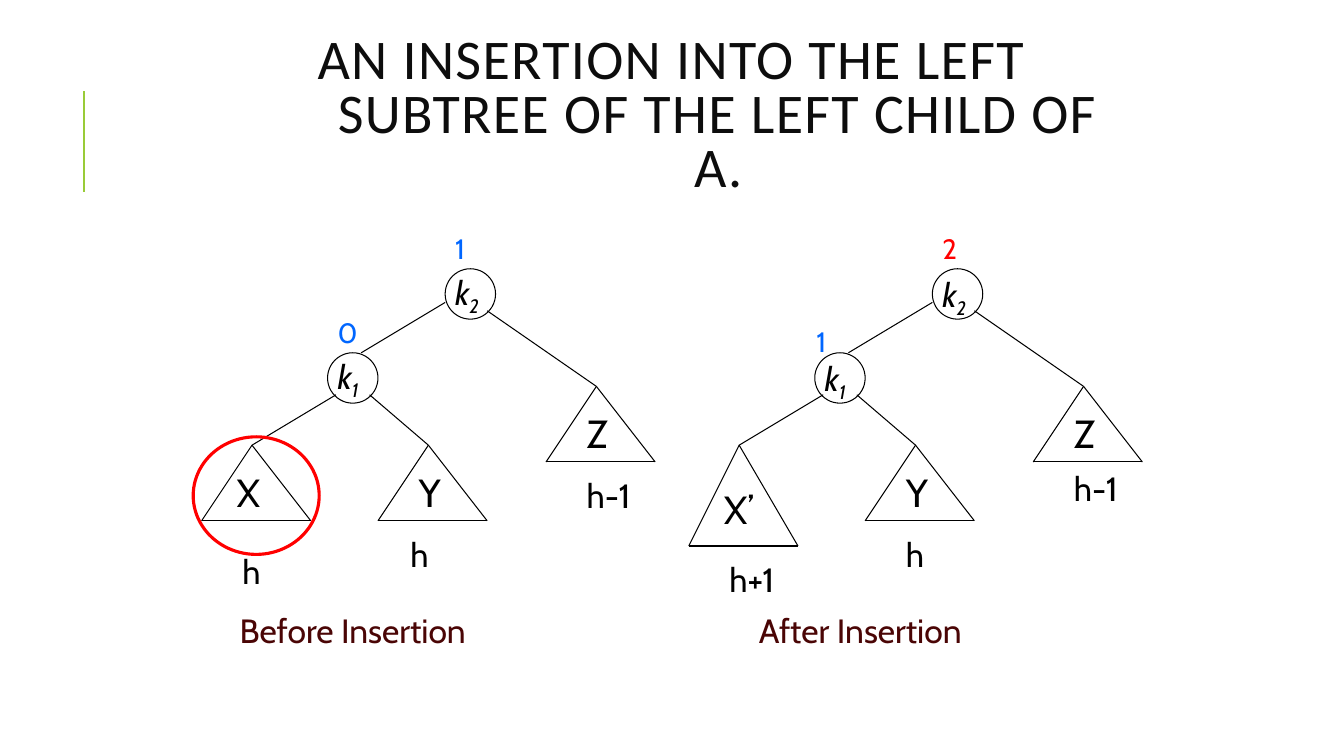
from pptx import Presentation, util as u
from pptx.dml.color import RGBColor
from pptx.enum import shapes, text
from lxml import etree

COLORS = {
    "black": "000000", "title": "0D0D0D", "green": "99CB38",
    "red": "FF0000", "blue": "0066FF", "maroon": "4A0505",
}
TITLE = "AN INSERTION INTO THE LEFT SUBTREE OF THE LEFT CHILD OF Α."
NODES = {"2": (318, 192), "1": (234, 252)}
NODE_SIZE = 36
EDGES = [
    (348, 222, 426, 276), (318, 216, 258, 252),
    (264, 282, 306, 318), (240, 282, 180, 318),
]
APEXES = [(180, 318), (306, 318), (426, 276)]
LETTER_SHIFTS = [-18, -14, -14]
TREES = [
    {
        "left": 0, "label_shift": -1.5,
        "subtrees": [("X", 54), ("Y", 54), ("Z", 54)],
        "balances": [("0", 234, 222, "blue"), ("1", 318, 162, "blue")],
        "heights": [("h", 166, 390), ("h", 286, 378), ("h-1", 412, 335.5)],
        "caption": ("Before Insertion", 164),
    },
    {
        "left": 348, "label_shift": 0,
        "subtrees": [("X’", 72), ("Y", 54), ("Z", 54)],
        "balances": [("1", 228, 228, "blue"), ("2", 318, 162, "red")],
        "heights": [("h+1", 166, 396), ("h", 292, 378), ("h-1", 412, 331)],
        "caption": ("After Insertion", 187),
    },
]
INSERTION_RING = (138, 312, 90, 84)


def color(shade):
    return RGBColor.from_string(COLORS[shade])


def add_line(slide, x1, y1, x2, y2, shade="black", width=0.75):
    line = slide.shapes.add_connector(
        shapes.MSO_CONNECTOR.STRAIGHT, *map(u.Pt, (x1, y1, x2, y2)))
    line.line.color.rgb = color(shade)
    line.line.width = u.Pt(width)
    etree.SubElement(
        line._element.spPr,
        "{http://schemas.openxmlformats.org/drawingml/2006/main}effectLst")


def add_circle(slide, box, shade="black", width=0.75):
    circle = slide.shapes.add_shape(
        shapes.MSO_SHAPE.OVAL, *map(u.Pt, box))
    circle.shadow.inherit = False
    circle.fill.background()
    circle.line.color.rgb = color(shade)
    circle.line.width = u.Pt(width)


def add_run(paragraph, words, size, shade, **formats):
    run = paragraph.add_run()
    run.text = words
    run.font.color.rgb = color(shade)
    values = {"name": "Cabin", "size": u.Pt(size), **formats}
    for key, value in values.items():
        setattr(run.font, key, value)
    return run


def add_text(slide, box, words, size, shade="black", **formats):
    label = slide.shapes.add_textbox(*map(u.Pt, box))
    label.text_frame.word_wrap = True
    label.text_frame.margin_right = 0
    paragraph = label.text_frame.paragraphs[0]
    run = add_run(paragraph, words, size, shade, **formats)
    return label.text_frame, paragraph, run


def add_title(slide):
    frame, paragraph, run = add_text(
        slide, (156, 30, 648, 108), TITLE, 40, "title", name="Calibri")
    frame.margin_right = u.Pt(7.2)
    frame.vertical_anchor = text.MSO_ANCHOR.MIDDLE
    paragraph.alignment = text.PP_ALIGN.CENTER
    paragraph.line_spacing = 0.8
    properties = paragraph._p.get_or_add_pPr()
    properties.set("marL", str(int(u.Pt(66))))
    properties.set("indent", str(-int(u.Pt(66))))
    run.font._element.set("spc", "100")


def add_tree(slide, tree):
    left = tree["left"]
    for x1, y1, x2, y2 in EDGES:
        add_line(slide, left + x1, y1, left + x2, y2)
    for number, (x, y) in NODES.items():
        add_circle(slide, (left + x, y, NODE_SIZE, NODE_SIZE))
        box = (left + x, y + tree["label_shift"], 35, 36)
        paragraph = add_text(slide, box, "k", 24, italic=True)[1]
        index = add_run(paragraph, number, 24, "black", italic=True)
        index.font._element.set("baseline", "-25000")
    for (letter, height), (x, y), shift in zip(
            tree["subtrees"], APEXES, LETTER_SHIFTS):
        x += left
        corners = [(x, y), (x - 36, y + height), (x + 42, y + height)]
        for start, end in zip(corners, corners[1:] + corners[:1]):
            add_line(slide, *start, *end)
        drop = 13 + (height - 54) * 2 / 3
        add_text(slide, (x + shift, y + drop, 37, 41), letter, 28)
    for value, x, y, shade in tree["balances"]:
        add_text(slide, (left + x, y, 54, 31), value, 20, shade)
    for value, x, y in tree["heights"]:
        add_text(slide, (left + x, y, 56, 36), value, 24)
    caption, x = tree["caption"]
    add_text(slide, (left + x, 432, 262, 36), caption, 24, "maroon")


def main():
    """Build the slide comparing a tree before and after an insertion."""
    presentation = Presentation()
    presentation.slide_width = u.Pt(960)
    presentation.slide_height = u.Pt(540)
    slide = presentation.slides.add_slide(presentation.slide_layouts[6])
    add_line(slide, 60, 137, 60, 65, "green", 1.5)
    add_title(slide)
    for tree in TREES:
        add_tree(slide, tree)
    add_circle(slide, INSERTION_RING, "red", 2.25)
    presentation.save("out.pptx")


if __name__ == "__main__":
    main()
